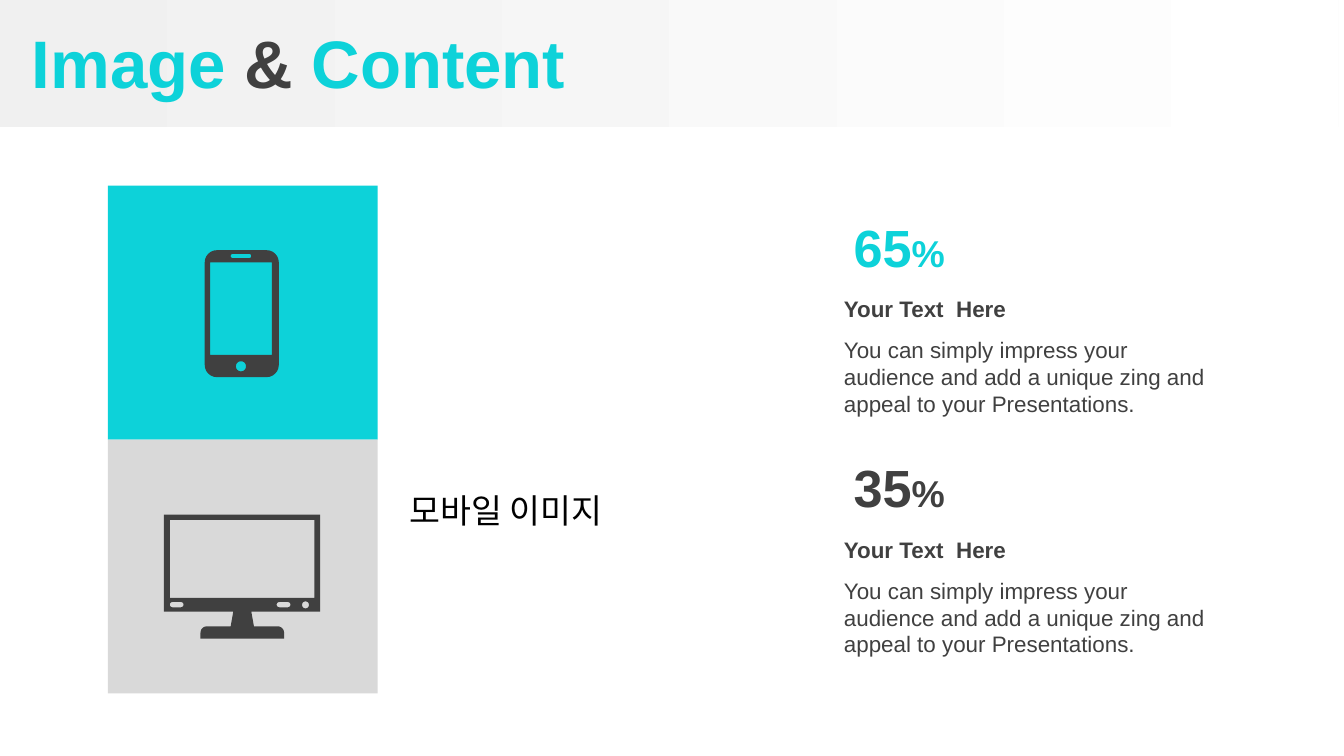
import math
from dataclasses import dataclass

import pptx
import pptx.dml.color
import pptx.enum.shapes
import pptx.enum.text
import pptx.util

Cm = pptx.util.Cm
Align = pptx.enum.text.PP_ALIGN
Anchor = pptx.enum.text.MSO_ANCHOR


@dataclass(frozen=True)
class Theme:
    font: str = "Arial"
    accent: str = "0DD2D9"
    dark: str = "404040"
    panel: str = "D9D9D9"
    black: str = "000000"
    band_start: str = "F0F0F0"
    band_end: str = "FFFFFF"
    title: int = 36
    figure: int = 28
    label: int = 18
    unit: int = 20
    body: int = 12


def color(value):
    return pptx.dml.color.RGBColor.from_string(value)


def rounded(left, top, width, height, radius, bottom_radius=None):
    bottom = radius if bottom_radius is None else bottom_radius
    right, base = left + width, top + height
    corners = [
        (left + radius, top + radius, radius, 180),
        (right - radius, top + radius, radius, 270),
        (right - bottom, base - bottom, bottom, 0),
        (left + bottom, base - bottom, bottom, 90),
    ]
    points = []
    for x, y, size, start in corners:
        for step in range(7 if size else 1):
            angle = math.radians(start + 15 * step)
            points.append((x + size * math.cos(angle), y + size * math.sin(angle)))
    return points


class SlideBuilder:
    def __init__(self, presentation, theme):
        self.theme = theme
        self.slide = presentation.slides.add_slide(presentation.slide_layouts[6])

    def rectangle(self, left, top, width, height, fill, fill_end=None):
        shape = self.slide.shapes.add_shape(
            pptx.enum.shapes.MSO_SHAPE.RECTANGLE, Cm(left), Cm(top), Cm(width), Cm(height)
        )
        shape.shadow.inherit = False
        shape.line.fill.background()
        if fill_end is None:
            shape.fill.solid()
            shape.fill.fore_color.rgb = color(fill)
            return
        shape.fill.gradient()
        shape.fill.gradient_angle = 0
        for stop, value in zip(shape.fill.gradient_stops, (fill, fill_end)):
            stop.color.rgb = color(value)

    def icon(self, outlines):
        first, *others = [[(Cm(x), Cm(y)) for x, y in outline] for outline in outlines]
        builder = self.slide.shapes.build_freeform(*first[0])
        builder.add_line_segments(first[1:], close=True)
        for outline in others:
            builder.move_to(*outline[0])
            builder.add_line_segments(outline[1:], close=True)
        shape = builder.convert_to_shape()
        shape.shadow.inherit = False
        shape.line.fill.background()
        shape.fill.solid()
        shape.fill.fore_color.rgb = color(self.theme.dark)

    def text(self, left, top, width, height, runs, bold=False,
             align=Align.LEFT, anchor=Anchor.TOP):
        box = self.slide.shapes.add_textbox(Cm(left), Cm(top), Cm(width), Cm(height))
        frame = box.text_frame
        frame.word_wrap = True
        frame.vertical_anchor = anchor
        paragraph = frame.paragraphs[0]
        paragraph.alignment = align
        for content, size, value in runs:
            run = paragraph.add_run()
            run.text = content
            run.font.name = self.theme.font
            run.font.size = pptx.util.Pt(size)
            run.font.bold = bold
            run.font.color.rgb = color(value)

    def statistic(self, top, number, value):
        theme = self.theme
        left, width = 15.7, 7.7
        self.text(left, top, 2.59, 1.45,
                  [(number, theme.figure, value), ("%", theme.unit, value)],
                  bold=True, align=Align.CENTER)
        self.text(left, top + 1.52, width, 0.76,
                  [("Your Text  Here", theme.body, theme.dark)], bold=True)
        self.text(left, top + 2.29, width, 1.8,
                  [("You can simply impress your audience and add a unique zing "
                    "and appeal to your Presentations.", theme.body, theme.dark)])


theme = Theme()
presentation = pptx.Presentation()
presentation.slide_width = Cm(25.4)
presentation.slide_height = Cm(14.29)
builder = SlideBuilder(presentation, theme)

panel_top, panel_height = 3.51, 4.8
for index, fill in enumerate((theme.accent, theme.panel)):
    builder.rectangle(2.04, panel_top + index * panel_height, 5.1, panel_height, fill)

builder.rectangle(0, 0, 25.3, 2.4, theme.band_start, theme.band_end)
builder.text(0.35, 0.08, 25.05, 2.16, [
    ("Image ", theme.title, theme.accent),
    ("&", theme.title, theme.dark),
    (" Content", theme.title, theme.accent),
], bold=True, anchor=Anchor.MIDDLE)
builder.text(7.49, 9.14, 4.83, 1.02, [("모바일 이미지", theme.label, theme.black)])

phone_body = rounded(3.87, 4.73, 1.4, 2.4, 0.23)
phone_screen = rounded(3.97, 4.96, 1.17, 1.75, 0)
phone_speaker = rounded(4.36, 4.8, 0.39, 0.08, 0.04)
phone_button = rounded(4.46, 6.83, 0.19, 0.19, 0.09)
builder.icon([phone_body, phone_screen, phone_speaker, phone_button])

monitor_stand = rounded(3.79, 11.84, 1.58, 0.23, 0.12, 0)
monitor_body = [
    (3.1, 9.73), (6.05, 9.73), (6.05, 11.56), (4.75, 11.56), (4.8, 11.84),
    *monitor_stand[7:], *monitor_stand[:7],
    (4.36, 11.84), (4.41, 11.56), (3.1, 11.56),
]
monitor_screen = rounded(3.21, 9.83, 2.73, 1.47, 0)
monitor_buttons = [rounded(left, 11.38, 0.26, 0.1, 0.05) for left in (3.21, 5.23)]
monitor_light = rounded(5.71, 11.37, 0.13, 0.13, 0.06)
builder.icon([monitor_body, monitor_screen, *monitor_buttons, monitor_light])

builder.statistic(3.94, "65", theme.accent)
builder.statistic(8.49, "35", theme.dark)

presentation.save("out.pptx")
